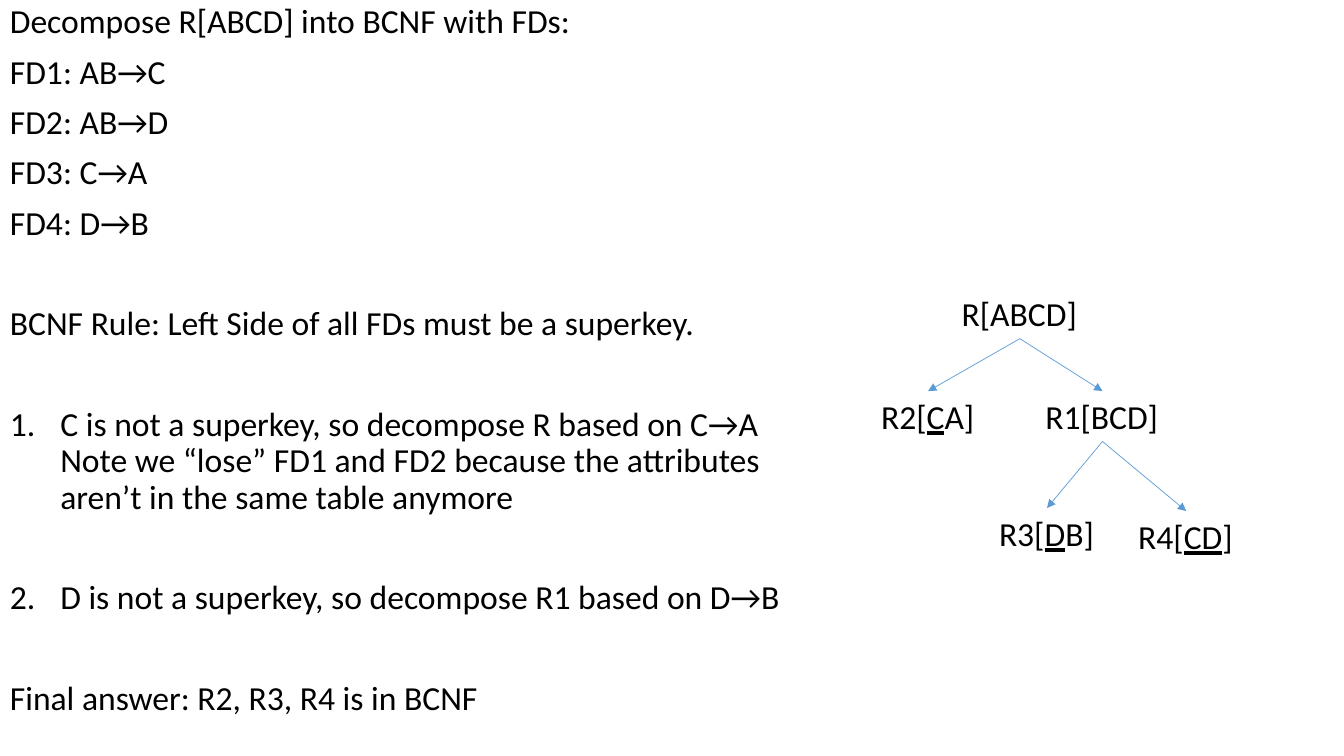
from dataclasses import dataclass

from lxml import etree
from pptx import Presentation
from pptx.dml.color import RGBColor
from pptx.enum.shapes import MSO_CONNECTOR
from pptx.enum.text import MSO_ANCHOR, MSO_AUTO_SIZE
from pptx.oxml.ns import qn
from pptx.util import Inches, Pt

STRAIGHT = MSO_CONNECTOR.STRAIGHT
TOP = MSO_ANCHOR.TOP
FIT = MSO_AUTO_SIZE.SHAPE_TO_FIT_TEXT
FIXED = MSO_AUTO_SIZE.NONE
TOP_SIDE, BOTTOM_SIDE = 0, 2


@dataclass(frozen=True)
class Theme:
    ink: RGBColor = RGBColor(0x00, 0x00, 0x00)
    edge: RGBColor = RGBColor(0x5B, 0x9B, 0xD5)
    face: str = "Calibri"
    size: Pt = Pt(24)
    line: Pt = Pt(0.5)
    near: Pt = Pt(10)
    far: Pt = Pt(46)


@dataclass(frozen=True)
class Step:
    text: str
    apart: bool = False
    listed: bool = False


@dataclass(frozen=True)
class Node:
    name: str
    left: float
    top: float
    width: float
    head: str
    key: str = ""
    tail: str = ""


THEME = Theme()
HEIGHT = 0.5
STEPS = [
    Step("Decompose R[ABCD] into BCNF with FDs:"),
    Step("FD1: AB→C"),
    Step("FD2: AB→D"),
    Step("FD3: C→A"),
    Step("FD4: D→B"),
    Step("BCNF Rule: Left Side of all FDs must be a superkey.", apart=True),
    Step(
        "C is not a superkey, so decompose R based on C→A\n"
        "Note we “lose” FD1 and FD2 because the attributes\n"
        "aren’t in the same table anymore",
        apart=True,
        listed=True,
    ),
    Step("D is not a superkey, so decompose R1 based on D→B", apart=True, listed=True),
    Step("Final answer: R2, R3, R4 is in BCNF", apart=True),
]
NODES = [
    Node("R", 9.44, 2.86, 1.35, "R[ABCD]"),
    Node("R1", 10.27, 3.88, 1.33, "R1[BCD]"),
    Node("R2", 8.64, 3.88, 1.13, "R2[", "C", "A]"),
    Node("R3", 9.81, 5.04, 1.15, "R3[", "D", "B]"),
    Node("R4", 11.19, 5.07, 1.15, "R4[", "CD", "]"),
]
SPLITS = [("R", "R1"), ("R", "R2"), ("R1", "R4"), ("R1", "R3")]


def apply(target, values: dict) -> None:
    for name, value in values.items():
        setattr(target, name, value)


def style(run, **extra) -> None:
    apply(run.font, {"name": THEME.face, "size": THEME.size, **extra})
    apply(run.font.color, {"rgb": THEME.ink})


def draw_steps(slide, steps: list[Step], width: int, height: int) -> None:
    frame = slide.shapes.add_textbox(0, 0, width, height).text_frame
    apply(frame, {"word_wrap": True, "auto_size": FIXED, "vertical_anchor": TOP})
    for index, step in enumerate(steps):
        para = frame.add_paragraph() if index else frame.paragraphs[0]
        para.text = step.text
        gap = THEME.far if step.apart else THEME.near
        apply(para, {"line_spacing": 0.9, "space_before": gap})
        for run in para.runs:
            style(run)
        if step.listed:
            props = para._p.get_or_add_pPr()
            props.set("marL", str(Inches(0.5)))
            props.set("indent", str(Inches(-0.5)))
            etree.SubElement(props, qn("a:buAutoNum"), type="arabicPeriod")


def draw_node(slide, node: Node):
    spot = map(Inches, (node.left, node.top, node.width, HEIGHT))
    box = slide.shapes.add_textbox(*spot)
    apply(box.text_frame, {"word_wrap": False, "auto_size": FIT})
    para = box.text_frame.paragraphs[0]
    for text, lined in ((node.head, False), (node.key, True), (node.tail, False)):
        if text:
            run = para.add_run()
            run.text = text
            style(run, underline=lined)
    return box


def draw_split(slide, start, end) -> None:
    link = slide.shapes.add_connector(
        STRAIGHT,
        start.left + start.width // 2,
        start.top + start.height,
        end.left + end.width // 2,
        end.top,
    )
    link.begin_connect(start, BOTTOM_SIDE)
    link.end_connect(end, TOP_SIDE)
    apply(link.line, {"width": THEME.line})
    apply(link.line.color, {"rgb": THEME.edge})
    props = link.element.spPr
    etree.SubElement(props.find(qn("a:ln")), qn("a:tailEnd"), type="triangle")
    etree.SubElement(props, qn("a:effectLst"))


def main() -> None:
    deck = Presentation()
    apply(deck, {"slide_width": Inches(13.33), "slide_height": Inches(7.5)})
    slide = deck.slides.add_slide(deck.slide_layouts[6])
    draw_steps(slide, STEPS, deck.slide_width, deck.slide_height)
    boxes = {node.name: draw_node(slide, node) for node in NODES}
    for start, end in SPLITS:
        draw_split(slide, boxes[start], boxes[end])
    deck.save("out.pptx")


if __name__ == "__main__":
    main()
